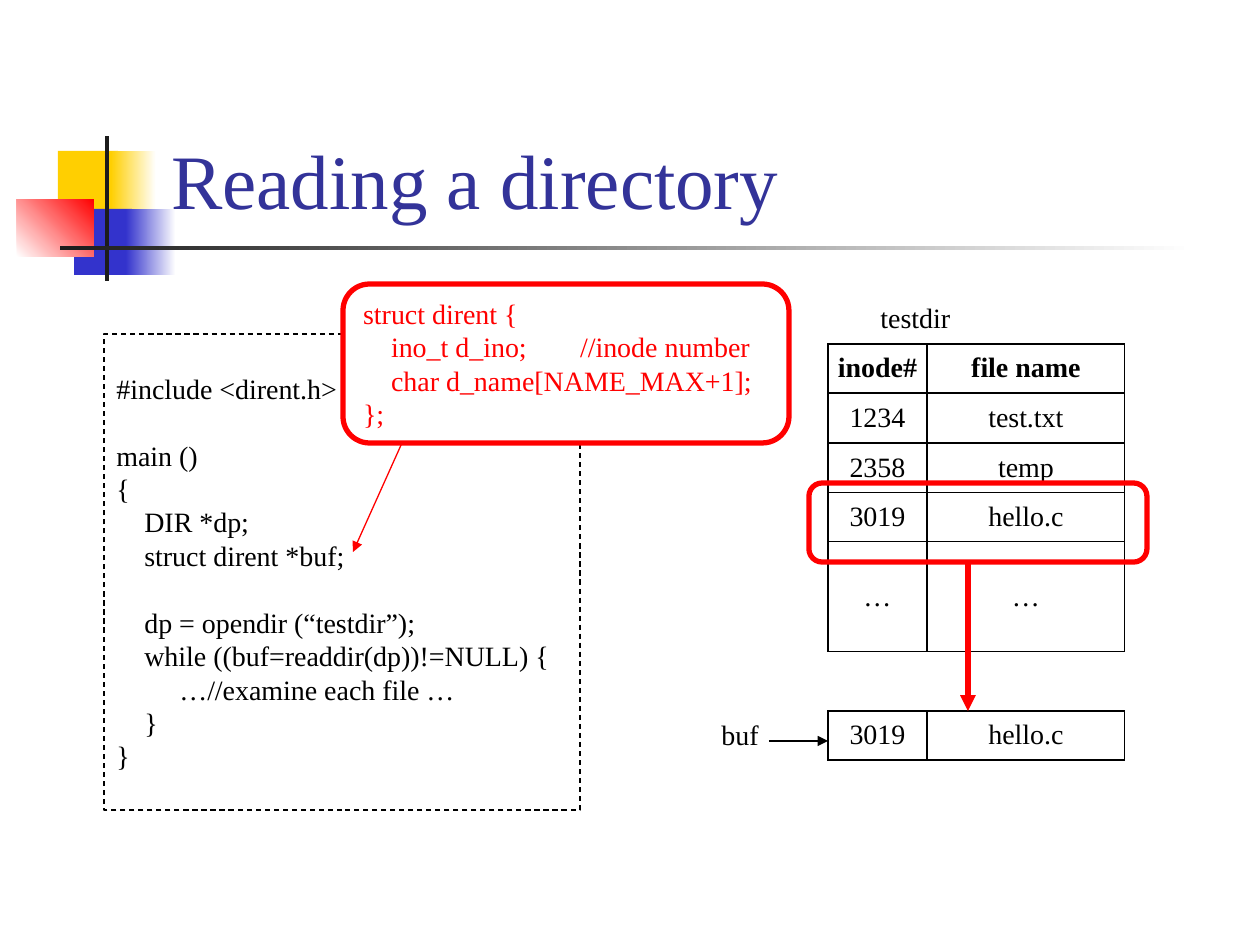
from dataclasses import dataclass
from typing import Any

from lxml import etree
from pptx import Presentation, oxml
from pptx import util as u
from pptx.dml.color import RGBColor
from pptx.enum import dml, shapes, text
from pptx.oxml.ns import qn

COLORS = {
    "black": "000000", "white": "FFFFFF", "red": "FF0000", "yellow": "FFCF01",
    "blue": "3333CC", "title": "333399", "ink": "1C1C1C",
}


def px(length):
    return u.Emu(round(length * 914400 / 126))


def rgb(name):
    return RGBColor.from_string(COLORS[name])


@dataclass
class Deck:
    slide: Any
    font: str = "Times New Roman"
    size: int = 16
    pitch: float = 19.1
    indent: int = 28
    thin: float = 0.75
    thick: float = 3

    def style(self, paragraph, color="black", size=None, bold=False):
        for run in paragraph.runs:
            run.font.name = self.font
            run.font.size = u.Pt(size or self.size)
            run.font.bold = bold
            run.font.color.rgb = rgb(color)

    def shape(self, box, fill=None, line=None, width=None, fade=None, angle=0,
              kind=shapes.MSO_SHAPE.RECTANGLE):
        item = self.slide.shapes.add_shape(kind, *map(px, box))
        item.shadow.inherit = False
        if fade:
            item.fill.gradient()
            item.fill.gradient_angle = angle
            for stop, color in zip(item.fill.gradient_stops, (fill, fade)):
                stop.color.rgb = rgb(color)
        elif fill:
            item.fill.solid()
            item.fill.fore_color.rgb = rgb(fill)
        else:
            item.fill.background()
        if line:
            item.line.color.rgb = rgb(line)
            item.line.width = u.Pt(width or self.thin)
        else:
            item.line.fill.background()
        return item

    def rounded(self, box, fill=None):
        return self.shape(box, fill, "red", self.thick,
                          kind=shapes.MSO_SHAPE.ROUNDED_RECTANGLE)

    def code(self, holder, lines, color="black", tab=None):
        frame = holder.text_frame
        frame.word_wrap = True
        frame.vertical_anchor = text.MSO_ANCHOR.MIDDLE
        frame.text = "\n".join(line for _, _, line in lines)
        for paragraph, (indent, gap, line) in zip(frame.paragraphs, lines):
            paragraph.alignment = text.PP_ALIGN.LEFT
            paragraph.line_spacing = u.Pt(self.pitch)
            paragraph.space_before = u.Pt(gap * self.pitch)
            props = paragraph._p.get_or_add_pPr()
            props.set("marL", str(px(indent * self.indent)))
            props.set("indent", "0")
            if "\t" in line:
                stops = etree.SubElement(props, qn("a:tabLst"))
                etree.SubElement(stops, qn("a:tab"), pos=str(px(tab)), algn="l")
            self.style(paragraph, color)

    def label(self, box, words, color="black", size=None, anchor=text.MSO_ANCHOR.TOP,
              wrap=False):
        frame = self.slide.shapes.add_textbox(*map(px, box)).text_frame
        frame.word_wrap = wrap
        frame.vertical_anchor = anchor
        frame.text = words
        self.style(frame.paragraphs[0], color, size)

    def border(self, cell):
        props = cell._tc.get_or_add_tcPr()
        for side in ("lnL", "lnR", "lnT", "lnB"):
            props.append(oxml.parse_xml(
                f'<a:{side} xmlns:a="http://schemas.openxmlformats.org/drawingml/2006/main"'
                f' w="{u.Pt(self.thin)}"><a:solidFill><a:srgbClr val="{COLORS["black"]}"/>'
                f'</a:solidFill></a:{side}>'))

    def table(self, left, top, widths, heights, rows, header=False):
        box = (left, top, sum(widths), sum(heights))
        grid = self.slide.shapes.add_table(len(rows), len(widths), *map(px, box)).table
        grid.first_row = grid.horz_banding = False
        for column, width in zip(grid.columns, widths):
            column.width = px(width)
        for r, (height, row) in enumerate(zip(heights, rows)):
            grid.rows[r].height = px(height)
            for c, value in enumerate(row):
                cell = grid.cell(r, c)
                self.border(cell)
                cell.fill.background()
                cell.margin_left = cell.margin_right = 0
                cell.vertical_anchor = text.MSO_ANCHOR.MIDDLE
                cell.text = value
                paragraph = cell.text_frame.paragraphs[0]
                paragraph.alignment = text.PP_ALIGN.CENTER
                self.style(paragraph, bold=header and r == 0)

    def arrow(self, start, end, color, width=None):
        line = self.slide.shapes.add_connector(
            shapes.MSO_CONNECTOR.STRAIGHT, *map(px, start + end))
        line.line.color.rgb = rgb(color)
        line.line.width = u.Pt(width or self.thin)
        props = line._element.spPr
        etree.SubElement(props.find(qn("a:ln")), qn("a:tailEnd"), type="triangle")
        etree.SubElement(props, qn("a:effectLst"))


def main():
    prs = Presentation()
    prs.slide_width, prs.slide_height = px(1260), px(945)
    deck = Deck(prs.slides.add_slide(prs.slide_layouts[6]))

    deck.shape((58, 151, 60, 66), "yellow")
    deck.shape((111, 151, 45, 66), "yellow", fade="white")
    deck.shape((74, 209, 58, 66), "blue")
    deck.shape((126, 209, 50, 66), "blue", fade="white")
    deck.shape((17, 199, 77, 58), "white", fade="red", angle=45)
    deck.shape((105, 136, 4, 145), "ink")
    deck.shape((60, 246, 1134, 4), "ink", fade="white")
    deck.label((159, 29, 1074, 202), "Reading a directory", "title", 44,
               text.MSO_ANCHOR.BOTTOM, True)

    program = deck.shape((104, 334, 476, 476), line="black")
    program.line.dash_style = dml.MSO_LINE.DASH
    deck.code(program, [
        (0, 0, "#include <dirent.h>"),
        (0, 1, "main ()"),
        (0, 0, "{"),
        (1, 0, "DIR *dp;"),
        (1, 0, "struct dirent *buf;"),
        (1, 1, "dp = opendir (“testdir”);"),
        (1, 0, "while ((buf=readdir(dp))!=NULL) {"),
        (2.25, 0, "…//examine each file …"),
        (1, 0, "}"),
        (0, 0, "}"),
    ])

    left, widths, entry = 828, (99, 198), ("3019", "hello.c")
    deck.table(left, 344, widths, (49, 50, 50, 49, 110), [
        ("inode#", "file name"),
        ("1234", "test.txt"),
        ("2358", "temp"),
        entry,
        ("…", "…"),
    ], header=True)
    deck.label((868, 294, 96, 46), "testdir")

    struct = deck.rounded((343, 284, 446, 159), "white")
    deck.code(struct, [
        (0, 0, "struct dirent {"),
        (1, 0, "ino_t d_ino;\t//inode number"),
        (1, 0, "char d_name[NAME_MAX+1];"),
        (0, 0, "};"),
    ], "red", tab=192)
    deck.arrow((402, 443), (353, 552), "red")

    deck.table(left, 711, widths, (49,), [entry])
    deck.label((709, 711, 63, 47), "buf")
    deck.arrow((769, 741), (left, 741), "black")
    deck.rounded((809, 483, 338, 79))
    deck.arrow((968, 562), (968, 711), "red", deck.thick)

    prs.save("out.pptx")


if __name__ == "__main__":
    main()
